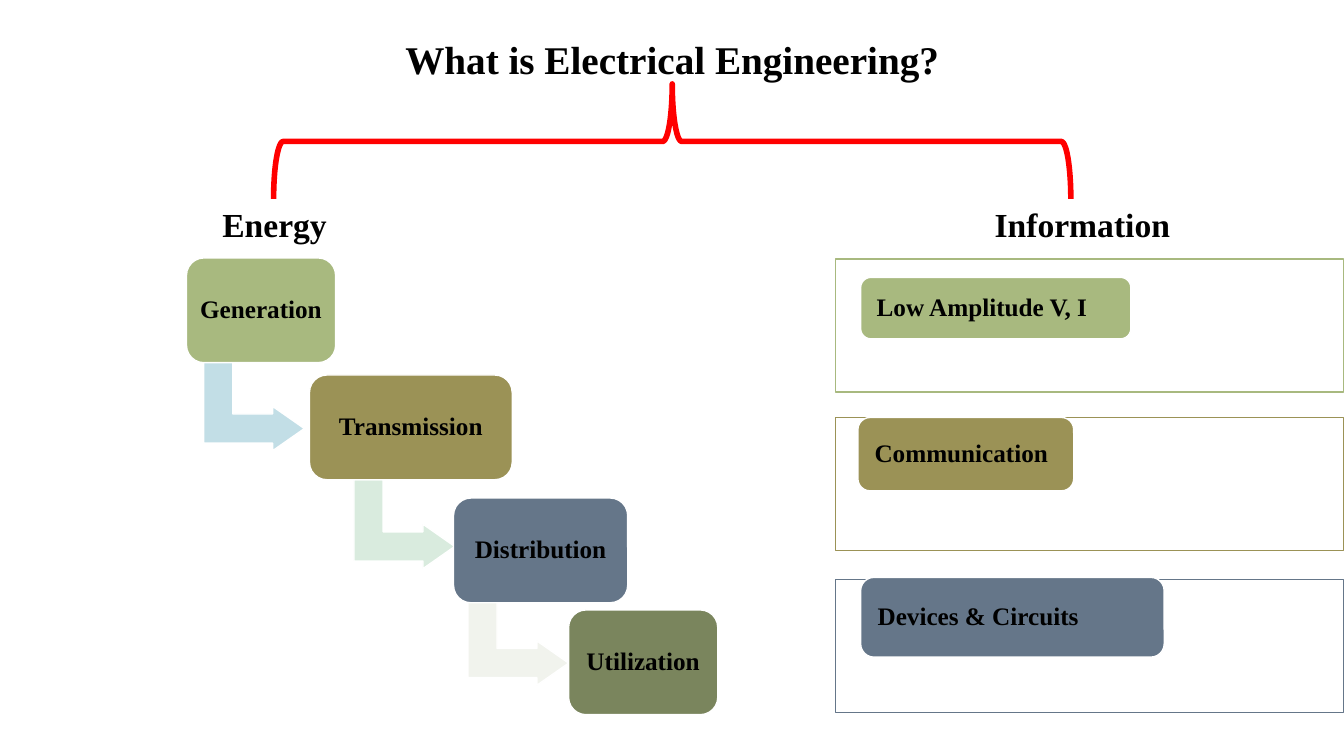
from pptx import Presentation
from pptx.dml.color import RGBColor
from pptx.enum.shapes import MSO_SHAPE as SHAPE
from pptx.enum.text import MSO_ANCHOR as ANCHOR, PP_ALIGN as ALIGN
from pptx.util import Cm, Pt

# Content: lengths in cm
TITLE = "What is Electrical Engineering?"
HEADINGS = [("Energy", 4.62, 4.6), ("Information", 24.66, 5.23)]  # text, left, width

# text, left, top, width, fill, arrow to the next step (left, top, fill)
STEPS = [
    ("Generation", 4.7, 6.5, 3.76, "A8B97F", (5.28, 8.97, "C2DEE6")),
    ("Transmission", 7.8, 9.45, 5.11, "9B9256", (9.07, 11.94, "D9EBDE")),
    ("Distribution", 11.43, 12.55, 4.39, "657689", (11.94, 14.88, "F1F3ED")),
    ("Utilization", 14.33, 15.37, 3.76, "7A855D", None),
]
STEP_H = 2.64
ARROW_SIZE = 2.24, 2.54
ARROW_ADJ = 0.328, 0.25, 0.358

# text, panel top, label box, colour
TOPICS = [
    ("Low Amplitude V, I", 6.53, (21.69, 6.99, 6.81, 1.55), "A8B97F"),
    ("Communication", 10.52, (21.62, 10.52, 5.44, 1.85), "9B9256"),
    ("Devices & Circuits", 14.61, (21.69, 14.55, 7.65, 2.01), "657689"),
]
PANEL_X, PANEL_W, PANEL_H = 21.06, 12.8, 3.35


def rgb(color):
    return RGBColor.from_string(color)


def add_shape(kind, box, fill=None, line="FFFFFF", width=1, rotation=0, adj=()):
    sp = s.shapes.add_shape(kind, *map(Cm, box))
    sp.shadow.inherit = False
    sp.rotation = rotation
    for i, value in enumerate(adj):
        sp.adjustments[i] = value
    if fill:
        sp.fill.solid()
        sp.fill.fore_color.rgb = rgb(fill)
    else:
        sp.fill.background()
    sp.line.color.rgb = rgb(line)
    sp.line.width = Pt(width)
    return sp


def set_text(sp, text, size, align=ALIGN.CENTER, anchor=ANCHOR.TOP,
             margins=(0.25, 0.13), spacing=1.0):
    tf = sp.text_frame
    side, edge = map(Cm, margins)
    frame = dict(word_wrap=True, vertical_anchor=anchor, margin_left=side,
                 margin_right=side, margin_top=edge, margin_bottom=edge)
    for name, value in frame.items():
        setattr(tf, name, value)
    p = tf.paragraphs[0]
    p.alignment, p.line_spacing = align, spacing
    p.space_before = Pt(0)
    r = p.add_run()
    r.text = text
    for name, value in dict(name="Times New Roman", size=Pt(size), bold=True).items():
        setattr(r.font, name, value)
    r.font.color.rgb = rgb("000000")


prs = Presentation()
prs.slide_width, prs.slide_height = Cm(33.87), Cm(19.05)
s = prs.slides.add_slide(prs.slide_layouts[5])

# Title and brace
title = s.shapes.title
title.left, title.top, title.width, title.height = map(Cm, (1.75, 0.76, 30.38, 1.45))
set_text(title, TITLE, 28)
add_shape(SHAPE.LEFT_BRACE, (15.49, -6.48, 2.9, 20.09), line="FF0000", width=4, rotation=90)

# Branch headings
for text, left, width in HEADINGS:
    set_text(s.shapes.add_textbox(*map(Cm, (left, 5, width, 1.27))), text, 24)

# Energy: descending steps joined by bent arrows
for text, left, top, width, fill, arrow in STEPS:
    if arrow:
        add_shape(SHAPE.BENT_UP_ARROW, (*arrow[:2], *ARROW_SIZE), arrow[2],
                  rotation=90, adj=ARROW_ADJ)
    step = add_shape(SHAPE.ROUNDED_RECTANGLE, (left, top, width, STEP_H), fill)
    set_text(step, text, 18, anchor=ANCHOR.MIDDLE, margins=(0.18, 0.18), spacing=0.9)

# Information: outlined panels with a label each
for text, top, box, color in TOPICS:
    add_shape(SHAPE.RECTANGLE, (PANEL_X, top, PANEL_W, PANEL_H), "FFFFFF", color)
    label = add_shape(SHAPE.ROUNDED_RECTANGLE, box, color)
    set_text(label, text, 18, ALIGN.LEFT, ANCHOR.MIDDLE, (0.33, 0), 0.9)

prs.save("out.pptx")
